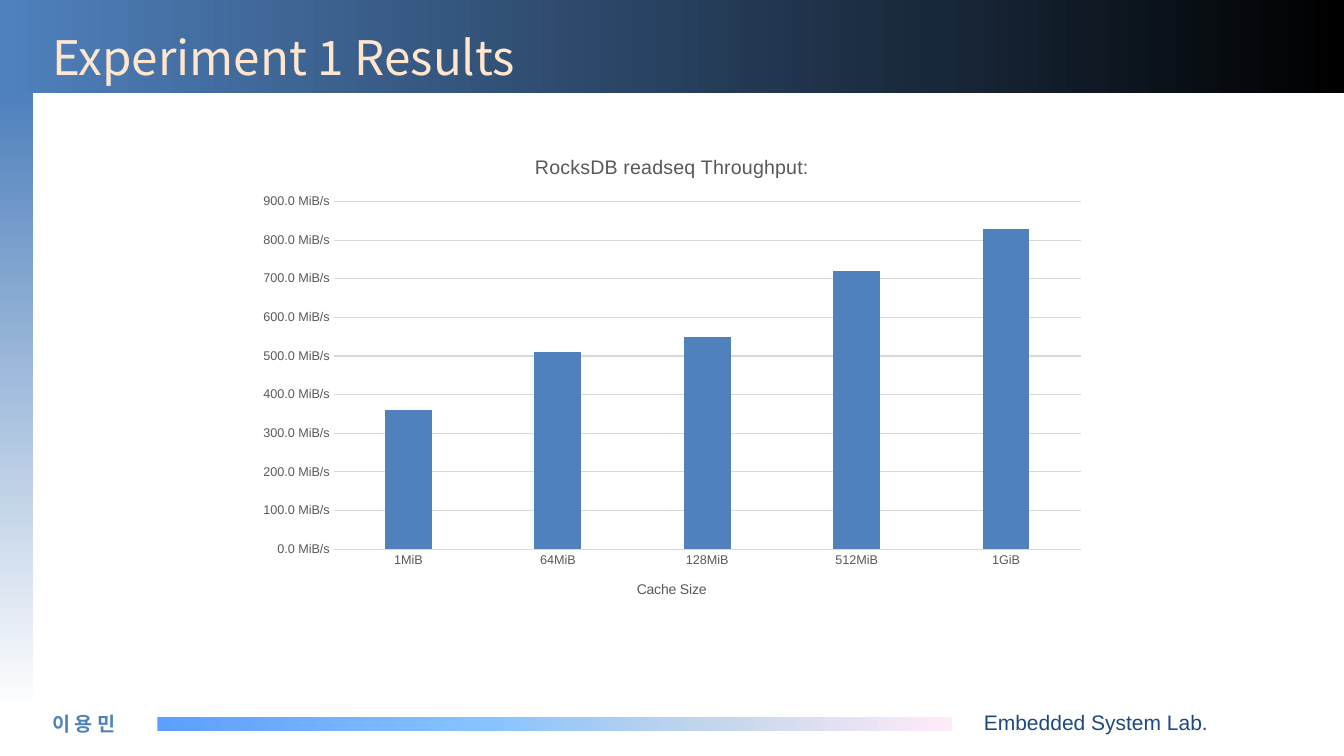
"""Build the slide with the read throughput chart."""
import lxml.etree
import pptx
import pptx.chart.data
import pptx.dml.color
import pptx.enum.chart
import pptx.enum.shapes
import pptx.enum.text
import pptx.oxml.ns
import pptx.util

Inches, Pt, qn = pptx.util.Inches, pptx.util.Pt, pptx.oxml.ns.qn
ANCHOR, ALIGN = pptx.enum.text.MSO_ANCHOR, pptx.enum.text.PP_ALIGN

LATIN, KOREAN = "Arial", "Noto Sans CJK KR"
BLUE, GREY, RULE = "4F81BD", "595959", "D9D9D9"
TITLE = "Experiment 1 Results"
BANDS = [
    ((0, 0.92, 0.33, 6.17), 90, [(0, BLUE), (100, "FFFFFF")]),
    ((1.56, 7.11, 7.88, 0.14), 0,
     [(0, "5E9EFF"), (40, "85C2FF"), (70, "C4D6EB"), (100, "FFEBFA")]),
    ((0, 0, 13.33, 0.92), 0, [(0, BLUE), (70, "182739"), (100, "000000")]),
]
LABELS = [
    ((0.1, 7.01, 1.46, 0.34), "이 용 민", 14, KOREAN, BLUE, True, ALIGN.CENTER),
    ((9.66, 6.99, 2.53, 0.35), "Embedded System Lab.", 15, LATIN, "1F497D",
     False, ALIGN.LEFT),
]
CHART = (2.44, 1.36, 8.44, 4.77)
PLOT = {"x": 0.87, "y": 0.64, "w": 7.41, "h": 3.45}
HEAD, AXIS = "RocksDB readseq Throughput:", "Cache Size"
RATES = {"1MiB": 360, "64MiB": 510, "128MiB": 550, "512MiB": 720, "1GiB": 830}


def color(text):
    return pptx.dml.color.RGBColor.from_string(text)


def place(box):
    return [Inches(n) for n in box]


def style(font, size, face, tint, bold=False):
    font.size, font.name, font.bold = Pt(size), face, bold
    font.color.rgb = color(tint)


def write(shape, text, size, face, tint, bold, align, anchor):
    frame = shape.text_frame
    frame.word_wrap = True
    frame.auto_size = pptx.enum.text.MSO_AUTO_SIZE.NONE
    frame.vertical_anchor = anchor
    frame.text = text
    para = frame.paragraphs[0]
    para.alignment = align
    style(para.font, size, face, tint, bold)
    if face == KOREAN:
        node = lxml.etree.SubElement(para.runs[0].font._element, qn("a:ea"))
        node.set("typeface", face)
    return para


def band(slide, box, angle, stops):
    shape = slide.shapes.add_shape(
        pptx.enum.shapes.MSO_SHAPE.RECTANGLE, *place(box))
    shape.shadow.inherit = False
    shape.line.fill.background()
    shape.fill.gradient()
    grad = shape._element.spPr.find(qn("a:gradFill"))
    for node in list(grad):
        grad.remove(node)
    group = lxml.etree.SubElement(grad, qn("a:gsLst"))
    for spot, tint in stops:
        stop = lxml.etree.SubElement(group, qn("a:gs"), pos=str(spot * 1000))
        lxml.etree.SubElement(stop, qn("a:srgbClr"), val=tint)
    lxml.etree.SubElement(grad, qn("a:lin"), ang=str(angle * 60000), scaled="0")


def layout(node, index, **parts):
    old = node.find(qn("c:layout"))
    if old is not None:
        node.remove(old)
    new = lxml.etree.Element(qn("c:layout"))
    node.insert(index, new)
    manual = lxml.etree.SubElement(new, qn("c:manualLayout"))
    if "w" in parts:
        lxml.etree.SubElement(manual, qn("c:layoutTarget"), val="inner")
    for name in "xy":
        lxml.etree.SubElement(manual, qn(f"c:{name}Mode"), val="edge")
    for name, size in parts.items():
        whole = CHART[2] if name in "xw" else CHART[3]
        lxml.etree.SubElement(manual, qn(f"c:{name}"), val=str(size / whole))


def caption(title, text, size, x, y):
    title.text_frame.text = text
    style(title.text_frame.paragraphs[0].font, size, LATIN, GREY)
    layout(title._element, 1, x=x, y=y)


def graph(slide):
    data = pptx.chart.data.CategoryChartData()
    data.categories = list(RATES)
    data.add_series("Series 1", list(RATES.values()))
    chart = slide.shapes.add_chart(
        pptx.enum.chart.XL_CHART_TYPE.COLUMN_CLUSTERED, *place(CHART), data).chart
    chart.has_legend = False
    style(chart.font, 10, LATIN, "000000")
    chart.has_title = True
    caption(chart.chart_title, HEAD, 14, 2.83, 0.14)
    cats, vals = chart.category_axis, chart.value_axis
    for axis in (cats, vals):
        axis.major_tick_mark = pptx.enum.chart.XL_TICK_MARK.NONE
        axis.minor_tick_mark = pptx.enum.chart.XL_TICK_MARK.NONE
        style(axis.tick_labels.font, 9, LATIN, GREY)
    caption(cats.axis_title, AXIS, 10, 3.85, 4.37)
    vals.has_major_gridlines = True
    for line in (cats.format.line, vals.major_gridlines.format.line):
        line.color.rgb, line.width = color(RULE), Pt(0.75)
    vals.format.line.fill.background()
    vals.minimum_scale, vals.maximum_scale, vals.major_unit = 0, 900, 100
    vals.tick_labels.number_format = '0.0" MiB/s"'
    vals.tick_labels.number_format_is_linked = False
    plot = chart.plots[0]
    plot.gap_width, plot.overlap, plot.vary_by_categories = 219, -27, False
    fill = plot.series[0].format.fill
    fill.solid()
    fill.fore_color.rgb = color(BLUE)
    layout(chart._chartSpace.chart.plotArea, 0, **PLOT)


def main():
    deck = pptx.Presentation()
    deck.slide_width, deck.slide_height = Inches(13.33), Inches(7.5)
    slide = deck.slides.add_slide(deck.slide_layouts[5])
    for item in BANDS:
        band(slide, *item)
    for box, *rest in LABELS:
        write(slide.shapes.add_textbox(*place(box)), *rest, ANCHOR.BOTTOM)
    title = slide.shapes.title
    title.left, title.top, title.width, title.height = place((0.42, 0.15, 12.5, 0.75))
    para = write(title, TITLE, 34, KOREAN, "FFE6CD", False, ALIGN.LEFT, ANCHOR.BOTTOM)
    para.line_spacing = 0.9
    tree = slide.shapes._spTree
    tree.remove(title._element)
    tree.append(title._element)
    graph(slide)
    deck.save("out.pptx")


if __name__ == "__main__":
    main()
